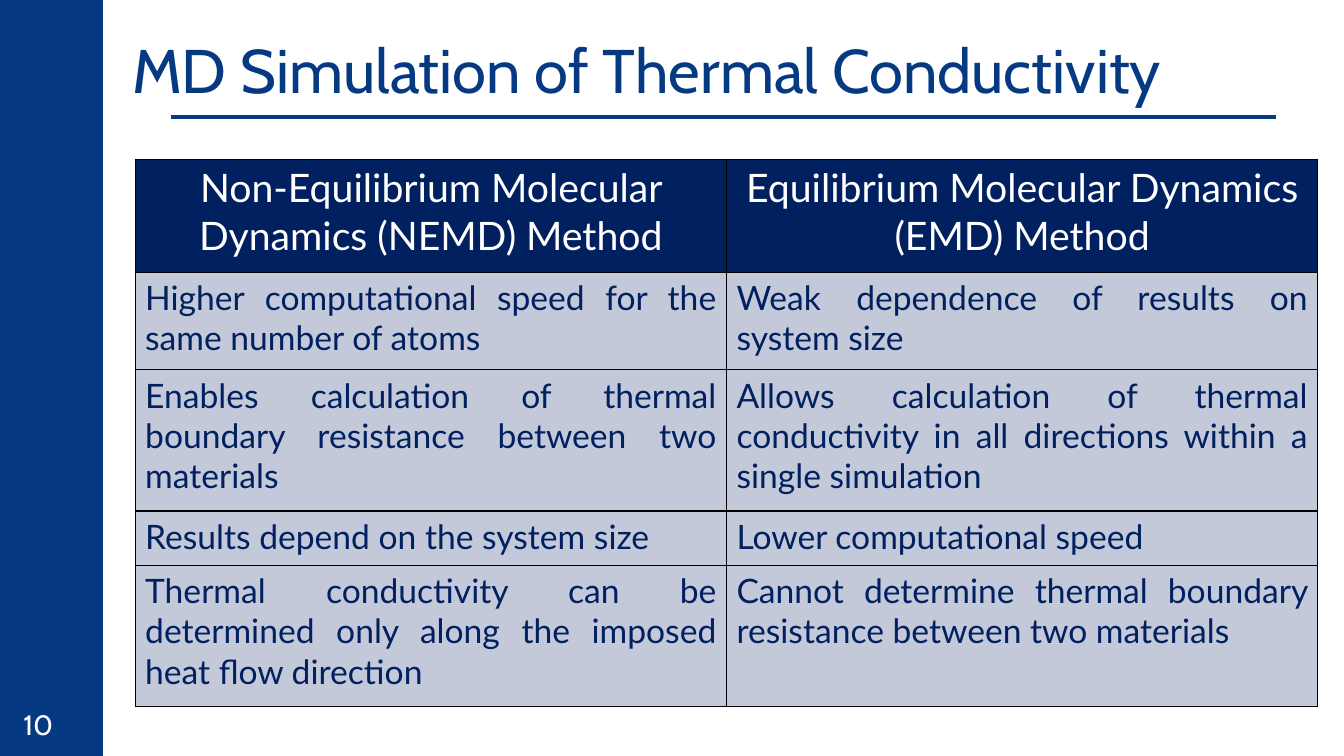
from lxml import etree
from pptx import Presentation
from pptx import util as u
from pptx.dml.color import RGBColor
from pptx.enum import shapes, text
from pptx.oxml import ns

BLUE = RGBColor(0x05, 0x39, 0x82)
NAVY = RGBColor(0x00, 0x20, 0x60)
GREY = RGBColor(0xC3, 0xC9, 0xD8)
WHITE = RGBColor(0xFF, 0xFF, 0xFF)
BORDER = "000000"

METHODS = [
    ("Non-Equilibrium Molecular Dynamics (NEMD) Method",
     "Equilibrium Molecular Dynamics (EMD) Method"),
    ("Higher computational speed for the same number of atoms",
     "Weak dependence of results on system size"),
    ("Enables calculation of thermal boundary resistance between two materials",
     "Allows calculation of thermal conductivity in all directions within a single simulation"),
    ("Results depend on the system size",
     "Lower computational speed"),
    ("Thermal conductivity can be determined only along the imposed heat flow direction",
     "Cannot determine thermal boundary resistance between two materials"),
]
ROW_HEIGHTS = [1.12, 0.97, 1.4, 0.54, 1.4]


def write(tf, content, *, size, font, color, align=text.PP_ALIGN.LEFT):
    p = tf.paragraphs[0]
    p.alignment = align
    r = p.add_run()
    r.text = content
    r.font.size = u.Pt(size)
    r.font.name = font
    r.font.color.rgb = color


def add_text(s, content, x, y, w, h, **fmt):
    tf = s.shapes.add_textbox(*map(u.Inches, (x, y, w, h))).text_frame
    tf.word_wrap = True
    tf.vertical_anchor = text.MSO_ANCHOR.MIDDLE
    tf.margin_left = tf.margin_right = 0
    tf.margin_top = tf.margin_bottom = u.Inches(0.07)
    write(tf, content, **fmt)


def add_sidebar(s, width, height):
    sp = s.shapes.add_shape(shapes.MSO_SHAPE.RECTANGLE, 0, 0,
                            u.Inches(width), height)
    sp.shadow.inherit = False
    sp.fill.solid()
    sp.fill.fore_color.rgb = BLUE
    sp.line.fill.background()


def add_rule(s, x1, x2, y):
    line = s.shapes.add_connector(shapes.MSO_CONNECTOR.STRAIGHT,
                                  *map(u.Inches, (x1, y, x2, y)))
    line.line.color.rgb = BLUE
    line.line.width = u.Pt(3)
    etree.SubElement(line._element.spPr, ns.qn("a:effectLst"))


def set_borders(cell):
    tcPr = cell._tc.get_or_add_tcPr()
    for i, side in enumerate(("lnL", "lnR", "lnT", "lnB")):
        ln = etree.Element(ns.qn("a:" + side), w=str(u.Pt(1)))
        fill = etree.SubElement(ln, ns.qn("a:solidFill"))
        etree.SubElement(fill, ns.qn("a:srgbClr"), val=BORDER)
        tcPr.insert(i, ln)


def add_methods_table(s, x, y, w):
    frame = s.shapes.add_table(len(METHODS), 2, u.Inches(x), u.Inches(y),
                               u.Inches(w), u.Inches(sum(ROW_HEIGHTS)))
    table = frame.table
    for i, (height, methods) in enumerate(zip(ROW_HEIGHTS, METHODS)):
        table.rows[i].height = u.Inches(height)
        if i == 0:
            fill = NAVY
            fmt = dict(size=28, color=WHITE, align=text.PP_ALIGN.CENTER)
        else:
            fill = GREY
            fmt = dict(size=24, color=NAVY, align=text.PP_ALIGN.JUSTIFY)
        for j, content in enumerate(methods):
            cell = table.cell(i, j)
            cell.fill.solid()
            cell.fill.fore_color.rgb = fill
            set_borders(cell)
            write(cell.text_frame, content, font="Lato", **fmt)
            cell.text_frame.paragraphs[0].runs[0].font.bold = False


def main():
    prs = Presentation()
    prs.slide_width = u.Inches(13.33)
    prs.slide_height = u.Inches(7.5)
    s = prs.slides.add_slide(prs.slide_layouts[6])
    add_sidebar(s, 1.02, prs.slide_height)
    add_text(s, "MD Simulation of Thermal Conductivity", 1.31, 0.29, 12.02, 0.78,
             size=44, font="Cabin", color=BLUE)
    add_methods_table(s, 1.34, 1.58, 11.73)
    add_rule(s, 1.7, 12.66, 1.16)
    add_text(s, "10", 0, 6.99, 0.76, 0.4, size=20, font="Cabin", color=WHITE,
             align=text.PP_ALIGN.CENTER)
    prs.save("out.pptx")


if __name__ == "__main__":
    main()
